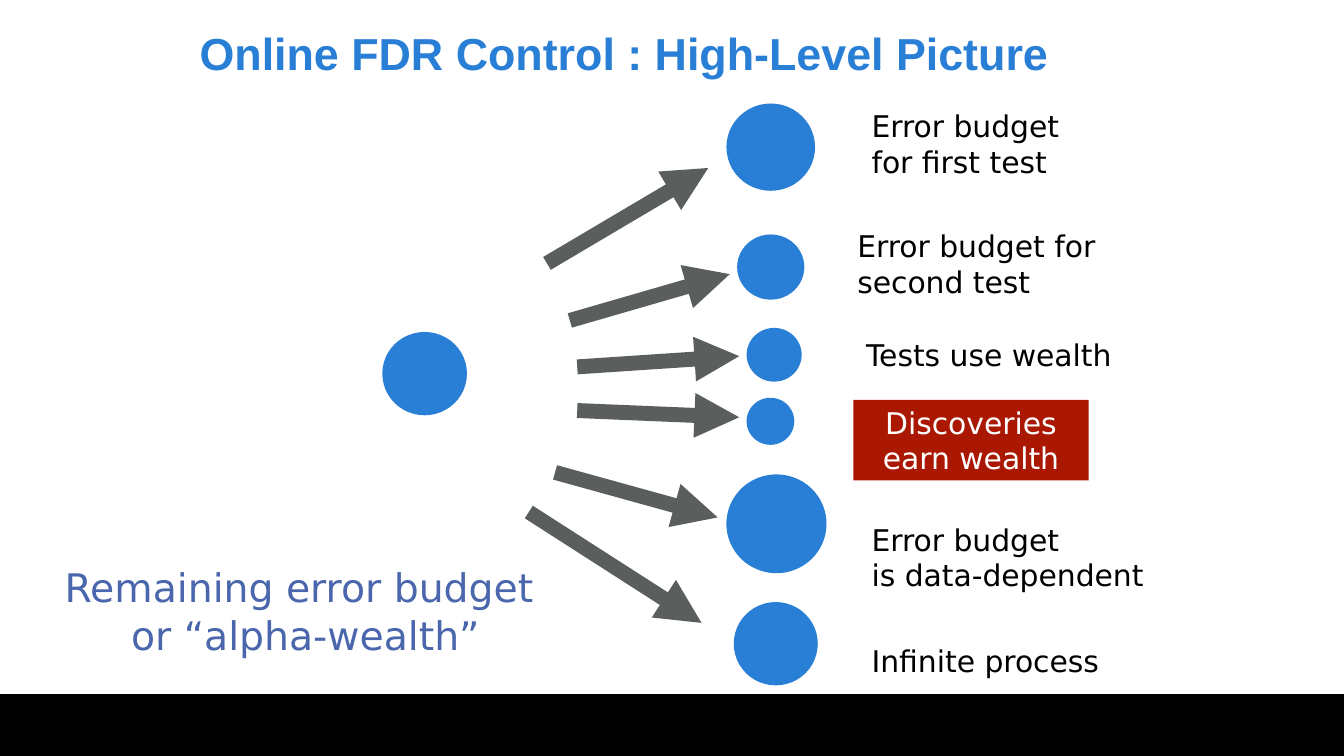
from lxml import etree
from pptx import Presentation
from pptx.dml.color import RGBColor
from pptx.enum.shapes import MSO_CONNECTOR, MSO_SHAPE
from pptx.enum.text import MSO_ANCHOR, MSO_AUTO_SIZE, PP_ALIGN
from pptx.oxml.ns import qn
from pptx.util import Pt

RECT, OVAL = MSO_SHAPE.RECTANGLE, MSO_SHAPE.OVAL
STRAIGHT = MSO_CONNECTOR.STRAIGHT
MIDDLE, NO_FIT = MSO_ANCHOR.MIDDLE, MSO_AUTO_SIZE.NONE
LEFT, CENTER = PP_ALIGN.LEFT, PP_ALIGN.CENTER

PX = 4572
COLORS = {
    "blue": "297FD5",
    "indigo": "4A66AC",
    "gray": "5A5F5E",
    "red": "AB1802",
    "black": "000000",
    "white": "FFFFFF",
}


def add_solid(kind, x, y, w, h, color):
    s = shapes.add_shape(kind, x * PX, y * PX, w * PX, h * PX)
    s.shadow.inherit = False
    s.fill.solid()
    s.fill.fore_color.rgb = RGBColor.from_string(COLORS[color])
    s.line.fill.background()
    return s


def write(s, text, size, color, align=LEFT, font="DejaVu Sans", bold=False, wrap=True):
    tf = s.text_frame
    tf.text = text
    tf.auto_size = NO_FIT
    tf.word_wrap = wrap
    tf.vertical_anchor = MIDDLE
    tf.margin_left = tf.margin_right = tf.margin_top = tf.margin_bottom = 6 * PX
    for p in tf.paragraphs:
        p.alignment = align
        for r in p.runs:
            r.font.name = font
            r.font.size = Pt(size)
            r.font.bold = bold
            r.font.color.rgb = RGBColor.from_string(COLORS[color])


prs = Presentation()
prs.slide_width, prs.slide_height = 2000 * PX, 1125 * PX
slide = prs.slides.add_slide(prs.slide_layouts[5])
shapes = slide.shapes

add_solid(RECT, 0, 1033, 2000, 94, "black")

title = shapes.title
title.left, title.top, title.width, title.height = 291 * PX, 32 * PX, 1286 * PX, 92 * PX
write(title, "Online FDR Control : High-Level Picture", 24, "blue",
      font="Arial", bold=True, wrap=False)

wealth = shapes.add_textbox(85 * PX, 832 * PX, 740 * PX, 154 * PX)
write(wealth, "Remaining error budget \nor “alpha-wealth”", 21.1, "indigo", CENTER, wrap=False)

labels = [
    (1291, 154, 350, 120, "Error budget for first test"),
    (1270, 332, 380, 120, "Error budget for second test"),
    (1283, 495, 412, 66, "Tests use wealth"),
    (1291, 769, 438, 120, "Error budget\vis data-dependent"),
    (1291, 950, 370, 66, "Infinite process"),
]
for x, y, w, h, text in labels:
    label = shapes.add_textbox(x * PX, y * PX, w * PX, h * PX)
    write(label, text, 16, "black")

discoveries = add_solid(RECT, 1270, 595, 350, 120, "red")
write(discoveries, "Discoveries earn wealth", 16, "white", CENTER)

circles = [
    (569, 494, 126, 124),
    (1081, 154, 132, 130),
    (1097, 349, 100, 97),
    (1111, 488, 82, 80),
    (1111, 592, 71, 70),
    (1081, 706, 149, 147),
    (1092, 896, 125, 124),
]
for x, y, w, h in circles:
    add_solid(OVAL, x, y, w, h, "blue")

arrows = [
    (814, 392, 1054, 250),
    (848, 477, 1086, 408),
    (859, 546, 1100, 530),
    (859, 611, 1100, 621),
    (826, 703, 1068, 770),
    (787, 762, 1044, 927),
]
for x1, y1, x2, y2 in arrows:
    arrow = shapes.add_connector(STRAIGHT, x1 * PX, y1 * PX, x2 * PX, y2 * PX)
    arrow.line.width = Pt(8)
    arrow.line.color.rgb = RGBColor.from_string(COLORS["gray"])
    etree.SubElement(arrow.line._get_or_add_ln(), qn("a:tailEnd"), type="triangle")
    etree.SubElement(arrow._element.spPr, qn("a:effectLst"))

prs.save("out.pptx")
